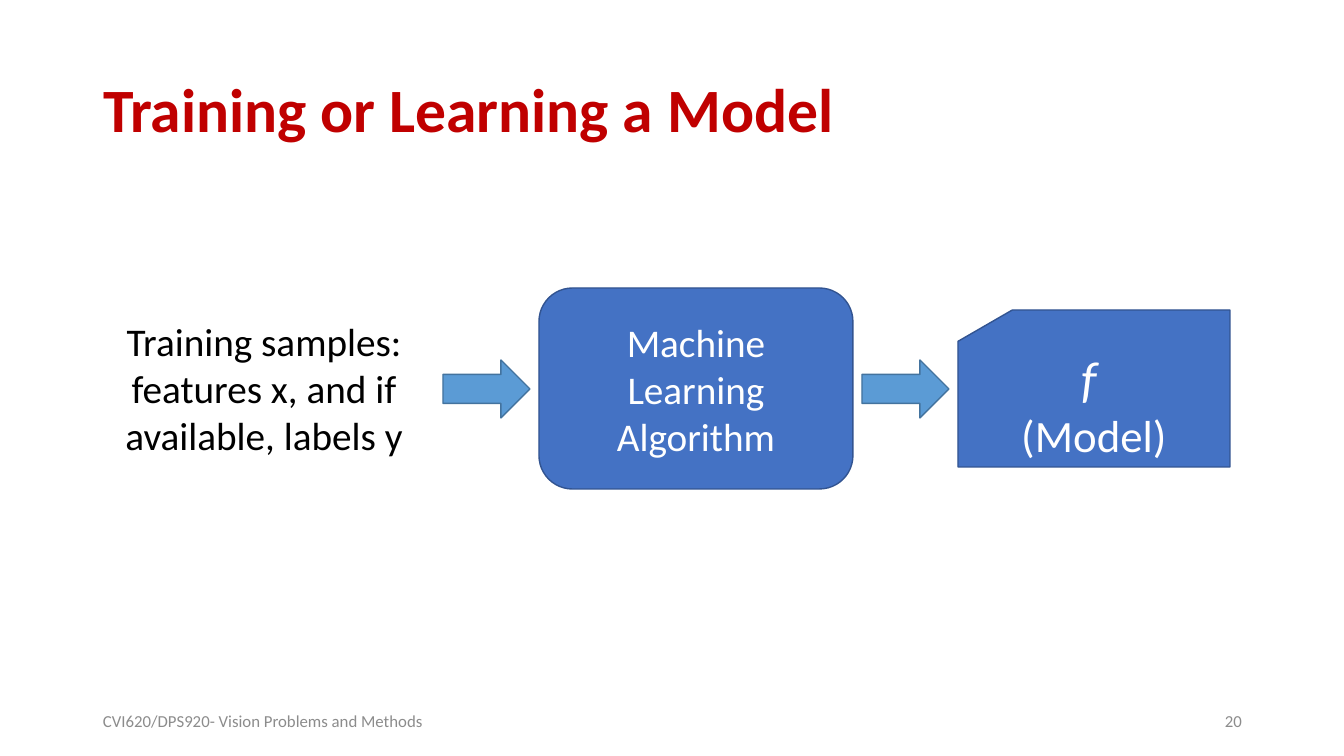
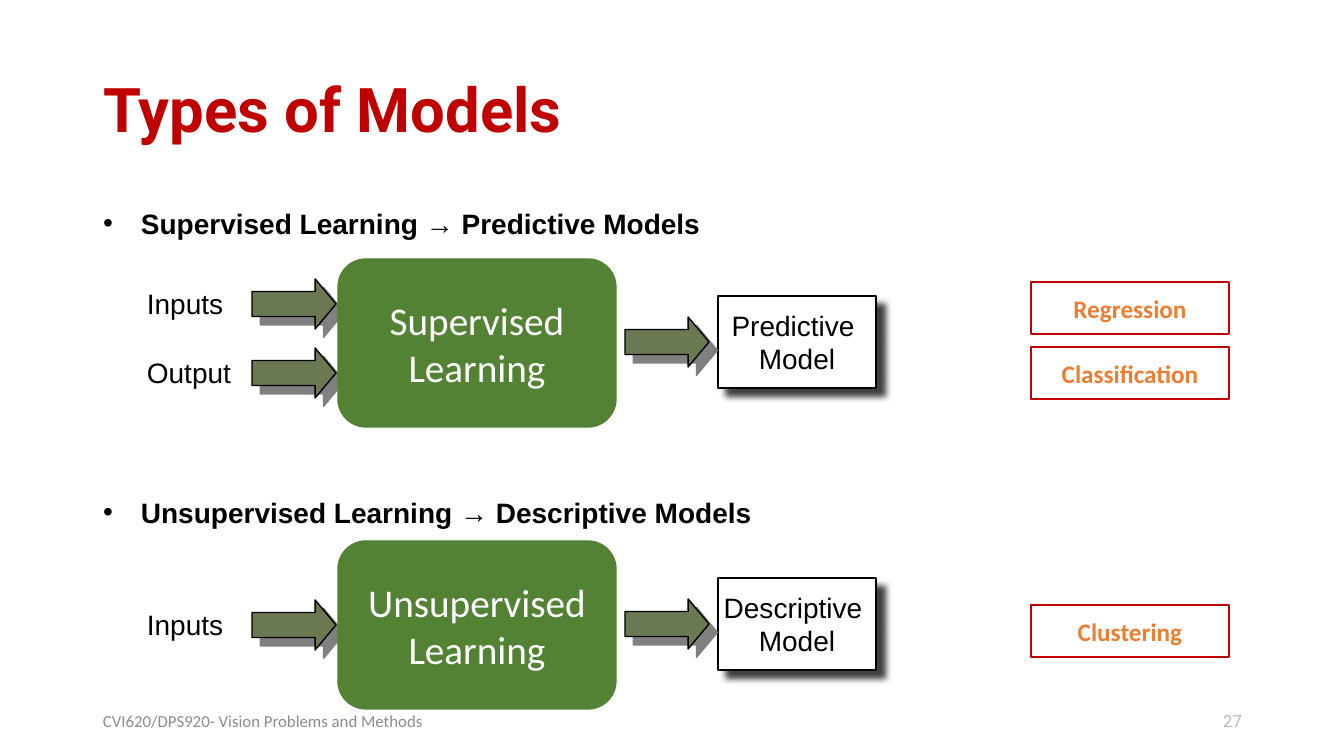
import pptx
import pptx.util
import pptx.dml.color
import pptx.enum.shapes
import pptx.enum.text
import pptx.oxml
import pptx.oxml.ns

RGBColor = pptx.dml.color.RGBColor
SHAPE = pptx.enum.shapes.MSO_SHAPE
ALIGN = pptx.enum.text.PP_ALIGN
ANCHOR = pptx.enum.text.MSO_ANCHOR

EMU_PER_PX = 914400 / 100.8

# Palette
WHITE = RGBColor(0xFF, 0xFF, 0xFF)
BLACK = RGBColor(0x00, 0x00, 0x00)
RED = RGBColor(0xC0, 0x00, 0x00)
GREY = RGBColor(0x8C, 0x8C, 0x8C)
PALE_GREY = RGBColor(0xB0, 0xBC, 0xC1)
SHADOW_GREY = RGBColor(0x80, 0x80, 0x80)
BLUE = RGBColor(0x44, 0x72, 0xC4)
BLUE_EDGE = RGBColor(0x32, 0x54, 0x91)
SKY = RGBColor(0x5B, 0x9B, 0xD5)
SKY_EDGE = RGBColor(0x43, 0x73, 0x9E)
GREEN = RGBColor(0x54, 0x82, 0x35)
GREEN_EDGE = RGBColor(0x53, 0x80, 0x35)
OLIVE = RGBColor(0x6B, 0x79, 0x53)
ORANGE = RGBColor(0xED, 0x7D, 0x31)

COURSE = "CVI620/DPS920- Vision Problems and Methods"
TITLE_ONLY, TWO_CONTENT = 5, 3


def px(n):
    return pptx.util.Emu(round(n * EMU_PER_PX))


def place(sp, x, y, w, h):
    sp.left, sp.top, sp.width, sp.height = px(x), px(y), px(w), px(h)


def style_run(r, size, font, color, bold=False):
    r.font.size = pptx.util.Pt(size)
    r.font.name = font
    r.font.color.rgb = color
    r.font.bold = bold


def set_text(sp, text, size, font="Calibri", color=BLACK, bold=False,
             align=ALIGN.LEFT, anchor=ANCHOR.TOP, wrap=True):
    tf = sp.text_frame
    tf.text = text
    tf.word_wrap = wrap
    tf.auto_size = pptx.enum.text.MSO_AUTO_SIZE.NONE
    tf.vertical_anchor = anchor
    for p in tf.paragraphs:
        p.alignment = align
        for r in p.runs:
            style_run(r, size, font, color, bold)


def add_text(s, box, text, size, **style):
    sp = s.shapes.add_textbox(*map(px, box))
    set_text(sp, text, size, **style)


def add_box(s, kind, box, fill, edge, width=1, text="", size=28, color=WHITE, **style):
    sp = s.shapes.add_shape(kind, *map(px, box))
    sp.shadow.inherit = False
    if fill is None:
        sp.fill.background()
    else:
        sp.fill.solid()
        sp.fill.fore_color.rgb = fill
    sp.line.color.rgb = edge
    sp.line.width = pptx.util.Pt(width)
    if text:
        set_text(sp, text, size, color=color, align=ALIGN.CENTER,
                 anchor=ANCHOR.MIDDLE, **style)
    return sp


def add_shadow(sp, color, alpha=100, blur=0):
    """Cast a shadow down and to the right; blur is in points."""
    effects = sp._element.spPr.find(pptx.oxml.ns.qn("a:effectLst"))
    effects.append(pptx.oxml.parse_xml(
        f'<a:outerShdw {pptx.oxml.ns.nsdecls("a")} blurRad="{pptx.util.Pt(blur)}" '
        f'dist="{pptx.util.Pt(8.5)}" dir="2700000" algn="ctr" rotWithShape="0">'
        f'<a:srgbClr val="{color}"><a:alpha val="{alpha * 1000}"/></a:srgbClr>'
        '</a:outerShdw>'))


def add_slide(prs, layout, title, number, font="Calibri", number_color=GREY):
    s = prs.slides.add_slide(prs.slide_layouts[layout])
    place(s.shapes.title, 93, 40, 1159, 146)
    set_text(s.shapes.title, title, 44, font, RED, True, anchor=ANCHOR.MIDDLE)
    s.shapes.title.text_frame.paragraphs[0].line_spacing = 0.9
    # Footer and slide number
    add_text(s, (93, 701, 353, 40), COURSE, 12, color=GREY, anchor=ANCHOR.MIDDLE)
    add_text(s, (950, 701, 302, 40), number, 12, font=font, color=number_color,
             align=ALIGN.RIGHT, anchor=ANCHOR.MIDDLE)
    return s


def add_olive_arrow(s, x, y):
    sp = add_box(s, SHAPE.RIGHT_ARROW, (x, y, 84, 50), OLIVE, BLACK)
    sp.adjustments[1] = 0.417
    add_shadow(sp, SHADOW_GREY)


def add_callout(s, y, text):
    sp = add_box(s, SHAPE.LINE_CALLOUT_1, (1031, y, 198, 52), None, RED, 1.5,
                 text, 18, ORANGE, bold=True)
    # Keep the pointer collapsed on the left edge
    for i, value in enumerate((0.51, 0, 0.51, 0)):
        sp.adjustments[i] = value


def add_heading(sp, y, text):
    place(sp, 93, y, 706, 43)
    set_text(sp, text, 20, "Arial", bold=True)


def add_learning_row(s, y, learner, model, inputs, methods):
    """Draw inputs, learner, model and methods, with the learner's top at y."""
    for label, arrow_y in inputs:
        add_text(s, (137, arrow_y + 3, 130, 43), label, 20, font="Arial")
        add_olive_arrow(s, 252, arrow_y)
    add_box(s, SHAPE.ROUNDED_RECTANGLE, (338, y, 278, 168), GREEN, GREEN_EDGE,
            text=learner)
    sp = add_box(s, SHAPE.RECTANGLE, (718, y + 37, 158, 92), WHITE, BLACK,
                 text=model, size=20, color=BLACK, font="Arial", wrap=False)
    add_shadow(sp, BLACK, 75, 5)
    add_olive_arrow(s, 625, y + 58)
    for label, method_y in methods:
        add_callout(s, method_y, label)


def build_training(prs):
    s = add_slide(prs, TITLE_ONLY, "Training or Learning a Model", "20")
    add_text(s, (93, 312, 342, 152),
             "Training samples: features x, and if available, labels y", 28,
             align=ALIGN.CENTER)
    add_box(s, SHAPE.ROUNDED_RECTANGLE, (539, 288, 314, 201), BLUE, BLUE_EDGE,
            text="Machine Learning Algorithm")
    for x in (443, 862):
        add_box(s, SHAPE.RIGHT_ARROW, (x, 360, 87, 58), SKY, SKY_EDGE)
    # Model card, with a larger italic f
    card = add_box(s, SHAPE.FLOWCHART_CARD, (958, 310, 272, 157), BLUE, BLUE_EDGE,
                   text="f\n(Model)", size=32)
    p = card.text_frame.paragraphs[0]
    p.runs[0].font.size = pptx.util.Pt(36)
    p.runs[0].font.italic = True
    r = p.add_run()
    r.text = " "
    style_run(r, 32, "Calibri", WHITE)


def build_types(prs):
    s = add_slide(prs, TWO_CONTENT, "Types of Models", "27", "Roboto", PALE_GREY)
    add_heading(s.placeholders[1], 201, "Supervised Learning → Predictive Models")
    add_heading(s.placeholders[2], 490, "Unsupervised Learning → Descriptive Models")
    add_learning_row(s, 259, "Supervised Learning", "Predictive \nModel",
                     [("Inputs", 279), ("Output", 348)],
                     [("Regression", 282), ("Classification", 347)])
    add_learning_row(s, 541, "Unsupervised Learning", "Descriptive \nModel",
                     [("Inputs", 600)], [("Clustering", 605)])


def main():
    prs = pptx.Presentation()
    prs.slide_width, prs.slide_height = px(1344), px(756)
    build_training(prs)
    build_types(prs)
    prs.save("out.pptx")


if __name__ == "__main__":
    main()
